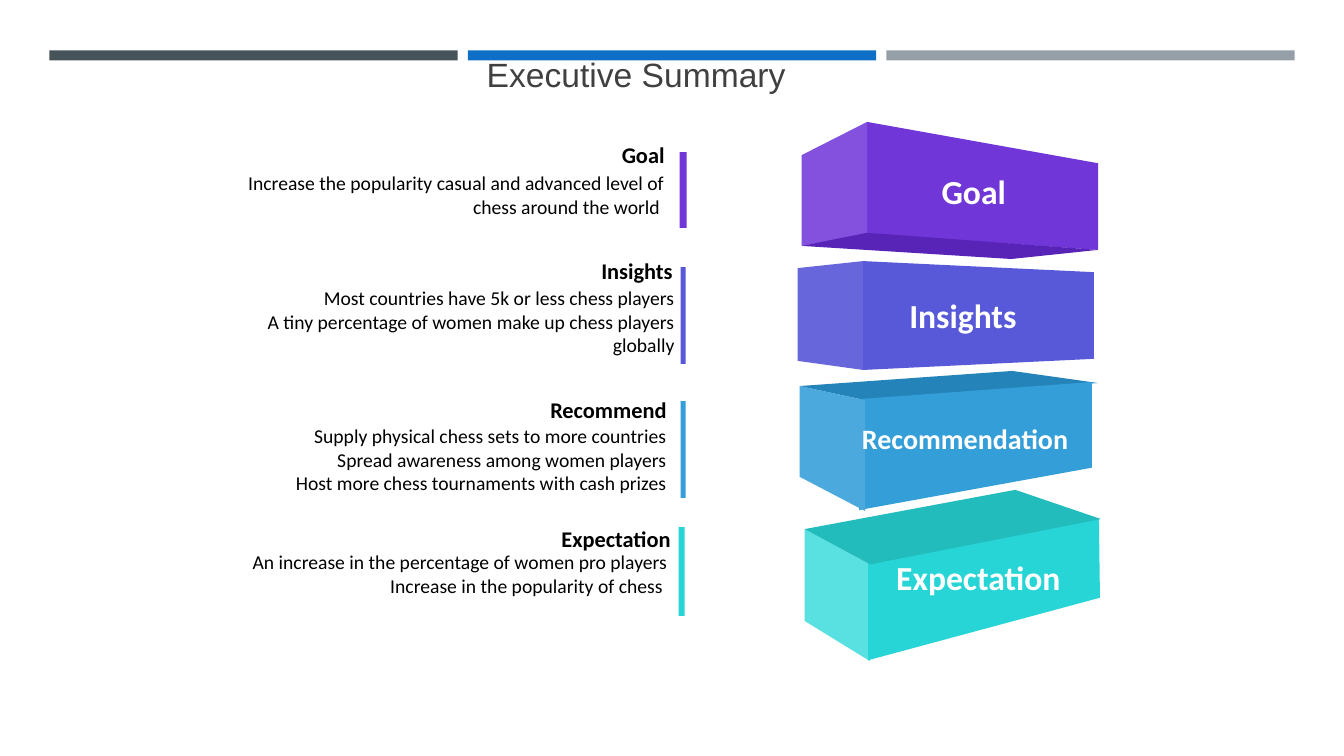
from pptx import Presentation
from pptx.dml.color import RGBColor
from pptx.enum.shapes import MSO_SHAPE as Shape
from pptx.enum.text import PP_ALIGN as Align
from pptx.util import Inches, Pt

SLATE = RGBColor(0x46, 0x53, 0x59)
BLUE = RGBColor(0x0F, 0x6F, 0xC6)
GREY = RGBColor(0x96, 0x9F, 0xA7)
TITLE_GREY = RGBColor(0x40, 0x40, 0x40)
BLACK = RGBColor(0, 0, 0)
WHITE = RGBColor(0xFF, 0xFF, 0xFF)
PURPLE = RGBColor(0x70, 0x36, 0xD8)
PURPLE_LIGHT = RGBColor(0x83, 0x51, 0xDD)
PURPLE_DARK = RGBColor(0x58, 0x23, 0xB7)
INDIGO = RGBColor(0x58, 0x59, 0xD8)
INDIGO_LIGHT = RGBColor(0x67, 0x67, 0xDB)
SKY = RGBColor(0x34, 0x9E, 0xD8)
SKY_LIGHT = RGBColor(0x4B, 0xA9, 0xDD)
SKY_DARK = RGBColor(0x24, 0x84, 0xBA)
TEAL = RGBColor(0x27, 0xD5, 0xD7)
TEAL_LIGHT = RGBColor(0x59, 0xE1, 0xE1)
TEAL_DARK = RGBColor(0x22, 0xBC, 0xBC)

# Content: positions are (left, top) or (left, top, width, height) in inches
TITLE = "Executive Summary"
STRIPE_COLORS = [SLATE, BLUE, GREY]

SECTIONS = [
    {"heading": "Goal", "heading_at": (2.16, 1.35),
     "points": ["Increase the popularity casual and advanced level of chess around the world "],
     "points_at": (2.16, 1.65), "points_height": 0.57,
     "bar": (6.74, 1.51, 0.07, 0.75), "color": PURPLE},
    {"heading": "Insights", "heading_at": (2.24, 2.5),
     "points": ["Most countries have 5k or less chess players",
                "A tiny percentage of women make up chess players globally"],
     "points_at": (2.26, 2.79), "points_height": 1.04,
     "bar": (6.75, 2.65, 0.05, 0.96), "color": INDIGO},
    {"heading": "Recommend", "heading_at": (2.18, 3.88),
     "points": ["Supply physical chess sets to more countries",
                "Spread awareness among women players",
                "Host more chess tournaments with cash prizes"],
     "points_at": (2.18, 4.16), "points_height": 0.81,
     "bar": (6.75, 3.98, 0.05, 0.96), "color": SKY},
    {"heading": "Expectation", "heading_at": (2.22, 5.16),
     "points": ["An increase in the percentage of women pro players",
                "Increase in the popularity of chess "],
     "points_at": (2.19, 5.41), "points_height": 0.57,
     "bar": (6.73, 5.23, 0.06, 0.88), "color": TEAL},
]

# Each block: label, label box, label size, faces from back to front
BLOCKS = [
    ("Goal", (9.24, 1.65, 0.95, 0.5), 24, [
        (PURPLE, [(10.89, 2.48), (8.6, 2.32), (8.6, 1.21), (10.89, 1.62)]),
        (PURPLE_LIGHT, [(8.6, 2.32), (7.95, 2.44), (7.95, 1.54), (8.6, 1.21)]),
        (PURPLE_DARK, [(10.89, 2.48), (8.6, 2.31), (7.95, 2.44), (10.03, 2.57)])]),
    ("Insights", (8.92, 2.88, 1.4, 0.5), 24, [
        (INDIGO, [(10.85, 3.56), (8.56, 3.67), (8.56, 2.59), (10.85, 2.7)]),
        (INDIGO_LIGHT, [(8.56, 3.67), (7.91, 3.58), (7.91, 2.66), (8.56, 2.59)])]),
    ("Recommendation", (8.45, 4.13, 2.61, 0.44), 20, [
        (SKY_DARK, [(10.89, 3.8), (8.58, 3.97), (7.93, 3.83), (10.04, 3.68)]),
        (SKY, [(10.83, 4.64), (8.52, 5.06), (8.52, 3.96), (10.83, 3.79)]),
        (SKY_LIGHT, [(8.58, 5.07), (7.93, 4.73), (7.93, 3.83), (8.58, 3.97)])]),
    ("Expectation", (8.79, 5.48, 2.09, 0.5), 24, [
        (TEAL_LIGHT, [(8.63, 6.56), (7.98, 6.16), (7.98, 5.25), (8.63, 5.6)]),
        (TEAL, [(10.91, 5.93), (8.61, 6.55), (8.61, 5.59), (10.9, 5.14)]),
        (TEAL_DARK, [(10.92, 5.15), (8.63, 5.6), (7.98, 5.25), (10.07, 4.86)])]),
]

TEXT_WIDTH = 4.53
STRIPE_LEFT, STRIPE_TOP, STRIPE_WIDTH, STRIPE_PITCH = 0.49, 0.5, 4.05, 4.15


def paint(shape, color):
    shape.shadow.inherit = False
    shape.fill.solid()
    shape.fill.fore_color.rgb = color
    shape.line.fill.background()


def add_bar(slide, box, color):
    paint(slide.shapes.add_shape(Shape.RECTANGLE, *map(Inches, box)), color)


def add_face(slide, corners, color):
    start, *others = [(Inches(x), Inches(y)) for x, y in corners]
    outline = slide.shapes.build_freeform(*start)
    outline.add_line_segments(others, close=True)
    paint(outline.convert_to_shape(), color)


def add_text(slide, box, lines, size, color, align, bold=False, font="Calibri"):
    frame = slide.shapes.add_textbox(*map(Inches, box)).text_frame
    frame.word_wrap = True
    frame.text = "\n".join(lines)
    for paragraph in frame.paragraphs:
        paragraph.alignment = align
        for run in paragraph.runs:
            run.font.name = font
            run.font.size = Pt(size)
            run.font.bold = bold
            run.font.color.rgb = color


def main():
    deck = Presentation()
    deck.slide_width, deck.slide_height = Inches(13.33), Inches(7.5)
    slide = deck.slides.add_slide(deck.slide_layouts[6])

    # Stripes across the top
    for i, color in enumerate(STRIPE_COLORS):
        left = STRIPE_LEFT + i * STRIPE_PITCH
        add_bar(slide, (left, STRIPE_TOP, STRIPE_WIDTH, 0.1), color)

    # Stacked blocks
    for label, label_box, size, faces in BLOCKS:
        for color, corners in faces:
            add_face(slide, corners, color)
        add_text(slide, label_box, [label], size, WHITE, Align.LEFT, bold=True)

    # Summary text with its coloured bars
    for section in SECTIONS:
        heading_box = (*section["heading_at"], TEXT_WIDTH, 0.37)
        points_box = (*section["points_at"], TEXT_WIDTH, section["points_height"])
        add_text(slide, heading_box, [section["heading"]], 16, BLACK, Align.RIGHT, bold=True)
        add_text(slide, points_box, section["points"], 14, BLACK, Align.RIGHT)
        add_bar(slide, section["bar"], section["color"])

    # Title
    add_text(slide, (2.08, 0.49, 8.46, 0.5), [TITLE], 24, TITLE_GREY, Align.CENTER, font="Arial")

    deck.save("out.pptx")


if __name__ == "__main__":
    main()
